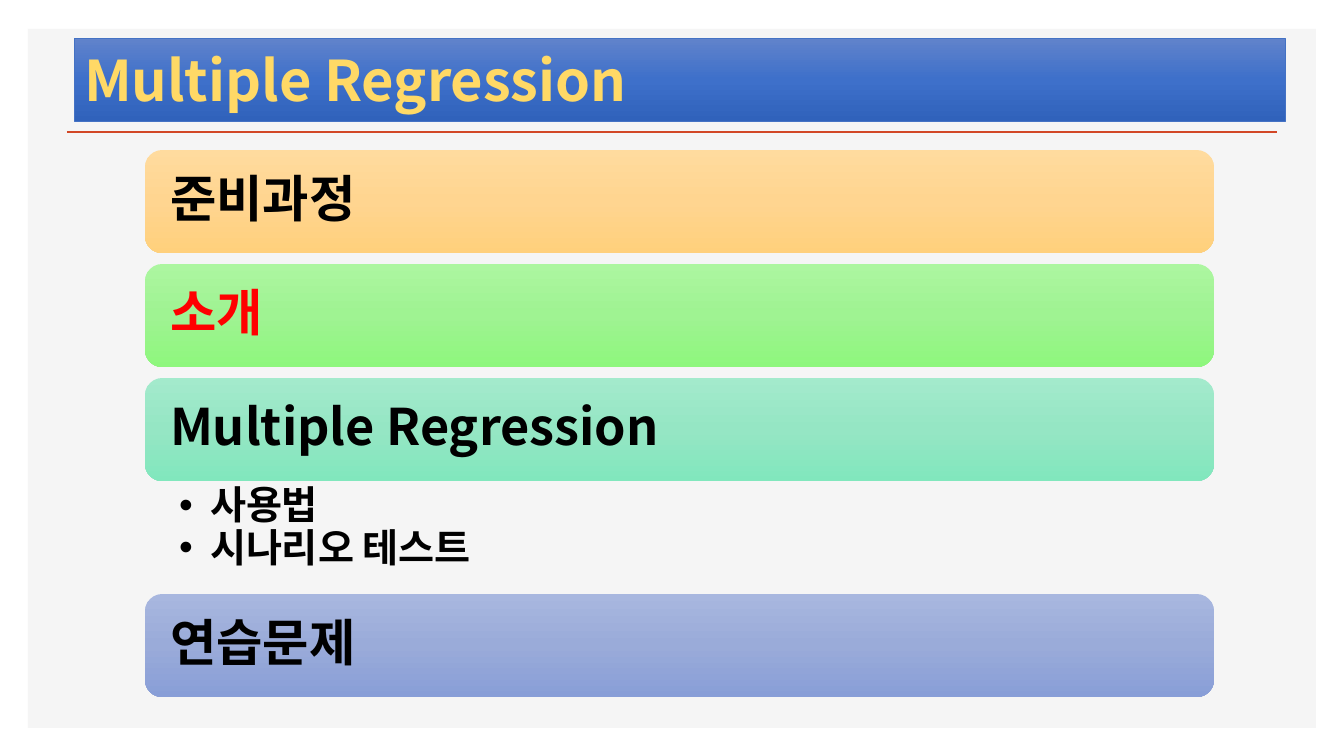
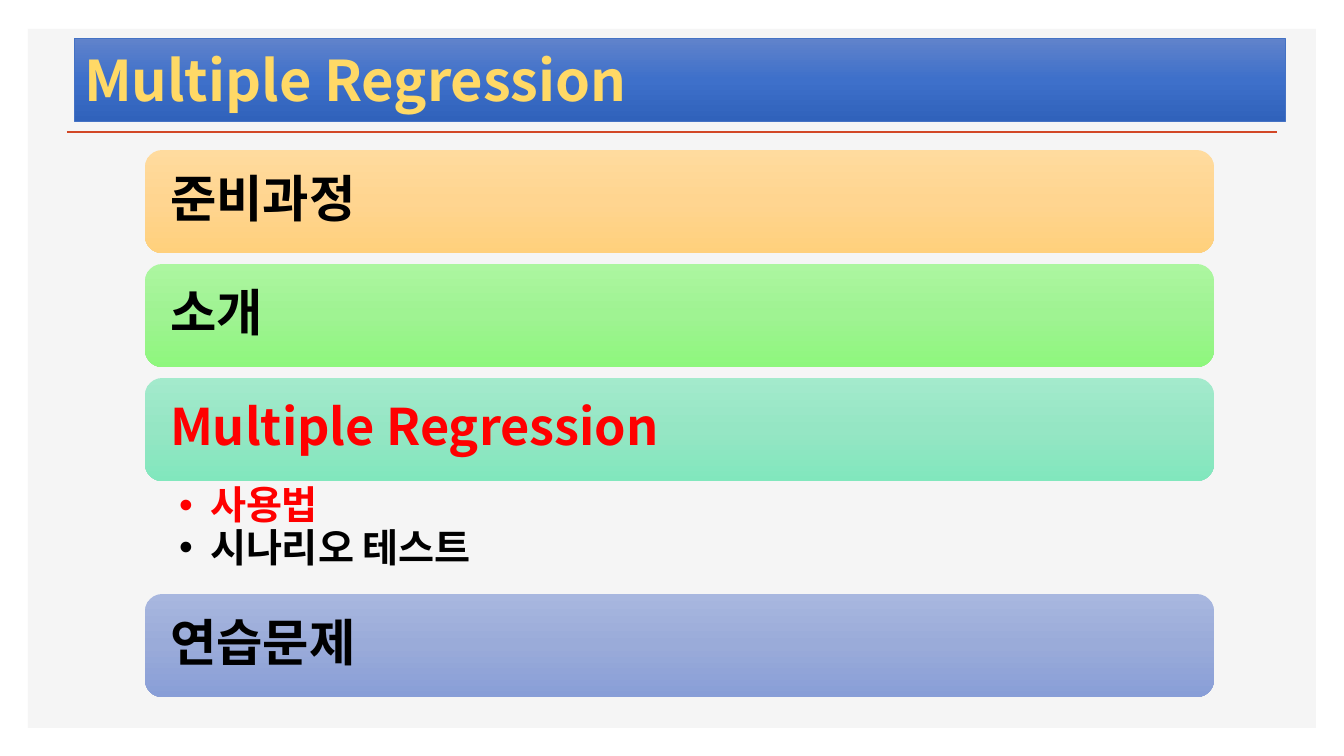
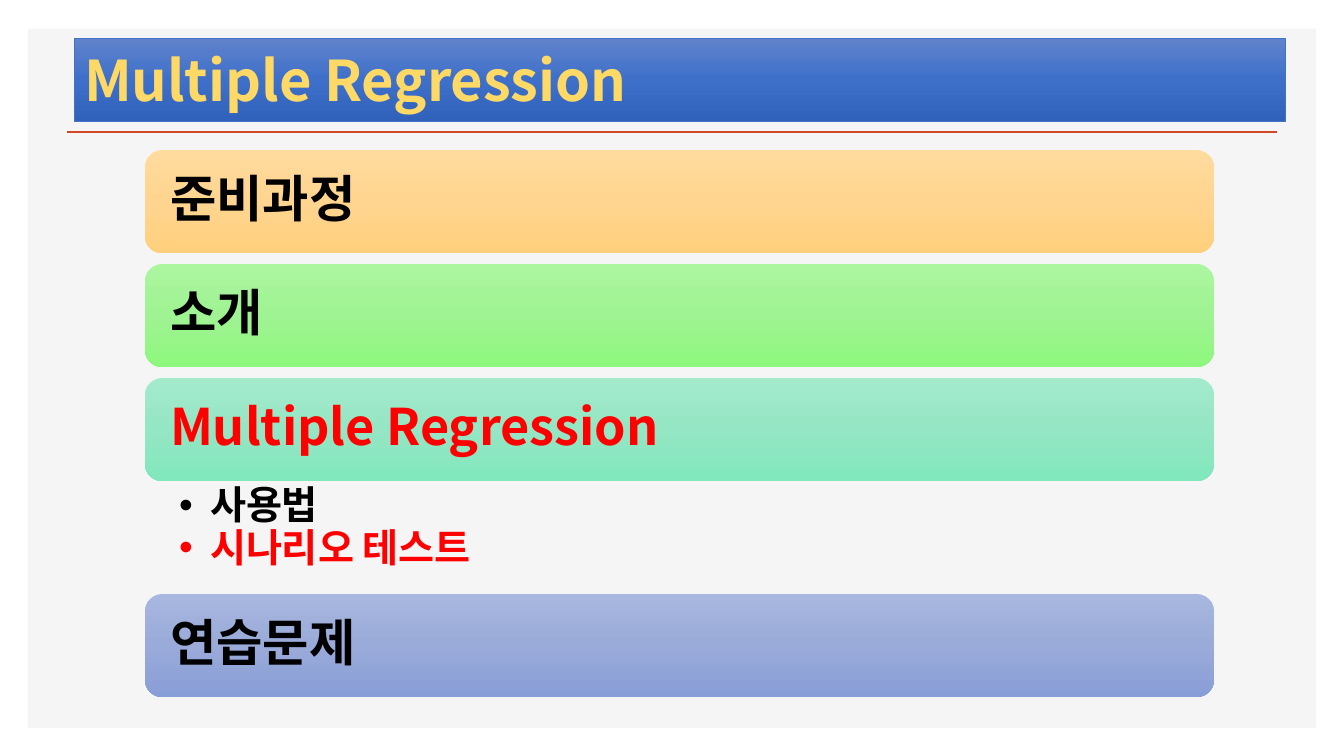
"""Build three agenda slides that highlight the current step of a lesson."""
from lxml.etree import SubElement
from pptx import Presentation
from pptx.dml.color import RGBColor
from pptx.enum.shapes import MSO_CONNECTOR as Connector, MSO_SHAPE as Shape
from pptx.enum.text import MSO_ANCHOR as Anchor, PP_ALIGN as Align
from pptx.oxml.ns import qn
from pptx.util import Emu, Pt

FONT = "Noto Sans CJK KR"
TITLE = "Multiple Regression"
COLORS = {
    "panel": "F5F5F5", "rule": "D24726", "title": "FFD966", "title_line": "4472C4",
    "text": "000000", "current": "FF0000",
}
GRADIENTS = {
    "title": ("6183CB", "3E70CA", "3062BB"),
    "orange": ("FFDB9E", "FFD590", "FFD07C"),
    "green": ("ACF6A0", "9FF392", "8EF77D"),
    "mint": ("A3EACC", "95E6C4", "81E7BD"),
    "blue": ("A8B7DF", "9AABD9", "889ED7"),
}
AGENDA = [
    ("준비과정", "orange", []),
    ("소개", "green", []),
    ("Multiple Regression", "mint", ["사용법", "시나리오 테스트"]),
    ("연습문제", "blue", []),
]
CURRENT_STEPS = [
    {"소개"},
    {"Multiple Regression", "사용법"},
    {"Multiple Regression", "시나리오 테스트"},
]

SLIDE = (1344, 756)
PANEL = (28, 29, 1288, 699)
RULE = (67, 132, 1277, 132)
TITLE_BAND = (74, 38, 1211, 83)
BAR_LEFT, BAR_TOP, BAR_WIDTH, BAR_HEIGHT, BAR_GAP = 145, 150, 1069, 103, 11
TOPICS_HEIGHT = 113
BAR_INSETS = (20, 20, 20, 20)
TOPIC_INSETS = (34, 5, 28, 5)
BULLET_INDENT = 31


def px(length):
    return Emu(round(length * 914400 / 100.8))


def box_of(lengths):
    return [px(length) for length in lengths]


def color(name):
    return RGBColor.from_string(COLORS[name])


def add_box(page, kind, place):
    box = page.shapes.add_shape(kind, *box_of(place))
    box.shadow.inherit = False
    box.line.fill.background()
    return box


def fill_gradient(box, name):
    box.fill.gradient()
    box.fill.gradient_angle = 270
    stops = box.element.spPr.find(".//" + qn("a:gsLst"))
    for stop in list(stops):
        stops.remove(stop)
    for position, value in zip((0, 50000, 100000), GRADIENTS[name]):
        stop = SubElement(stops, qn("a:gs"), pos=str(position))
        SubElement(stop, qn("a:srgbClr"), val=value)


def set_frame(box, insets, anchor):
    frame = box.text_frame
    frame.word_wrap = True
    frame.vertical_anchor = anchor
    (frame.margin_left, frame.margin_top,
     frame.margin_right, frame.margin_bottom) = box_of(insets)
    return frame


def write(para, text, size, color_name, spacing=0.9):
    para.alignment = Align.LEFT
    para.line_spacing = spacing
    span = para.add_run()
    span.text = text
    span.font.size = Pt(size)
    span.font.bold = True
    span.font.color.rgb = color(color_name)
    span.font.name = FONT
    SubElement(span.font._element, qn("a:ea"), typeface=FONT)


def add_bullet(para):
    properties = para._p.get_or_add_pPr()
    properties.set("marL", str(px(BULLET_INDENT)))
    properties.set("indent", str(-px(BULLET_INDENT)))
    SubElement(properties, qn("a:buFont"), typeface="Arial")
    SubElement(properties, qn("a:buChar"), char="•")


def set_backdrop(layout, page):
    for holder in list(layout.placeholders):
        layout.shapes.element.remove(holder.element)
    panel = add_box(page, Shape.RECTANGLE, PANEL)
    panel.fill.solid()
    panel.fill.fore_color.rgb = color("panel")
    rule = page.shapes.add_connector(Connector.STRAIGHT, *box_of(RULE))
    rule.line.color.rgb = color("rule")
    rule.line.width = Pt(2)
    SubElement(rule.element.spPr, qn("a:effectLst"))
    for part in (panel, rule):
        layout.shapes.element.append(part.element)


def add_title(page):
    band = add_box(page, Shape.RECTANGLE, TITLE_BAND)
    fill_gradient(band, "title")
    band.line.color.rgb = color("title_line")
    band.line.width = Pt(0.5)
    frame = set_frame(band, (10, 5, 10, 5), Anchor.MIDDLE)
    write(frame.paragraphs[0], TITLE, 40, "title", 1.0)


def add_topics(page, top, topics, current):
    box = page.shapes.add_textbox(*box_of((BAR_LEFT, top, BAR_WIDTH, TOPICS_HEIGHT)))
    frame = set_frame(box, TOPIC_INSETS, Anchor.TOP)
    for index, topic in enumerate(topics):
        para = frame.add_paragraph() if index else frame.paragraphs[0]
        write(para, topic, 28, "current" if topic in current else "text")
        add_bullet(para)


def add_agenda(page, current):
    top = BAR_TOP
    for heading, gradient, topics in AGENDA:
        bar = add_box(page, Shape.ROUNDED_RECTANGLE, (BAR_LEFT, top, BAR_WIDTH, BAR_HEIGHT))
        fill_gradient(bar, gradient)
        frame = set_frame(bar, BAR_INSETS, Anchor.MIDDLE)
        write(frame.paragraphs[0], heading, 36, "current" if heading in current else "text")
        top += BAR_HEIGHT
        if topics:
            add_topics(page, top, topics, current)
        top += TOPICS_HEIGHT if topics else BAR_GAP


def main():
    deck = Presentation()
    deck.slide_width, deck.slide_height = box_of(SLIDE)
    blank = deck.slide_layouts[6]
    pages = [deck.slides.add_slide(blank) for _ in CURRENT_STEPS]
    set_backdrop(blank, pages[0])
    for page, current in zip(pages, CURRENT_STEPS):
        add_title(page)
        add_agenda(page, current)
    deck.save("out.pptx")


if __name__ == "__main__":
    main()
